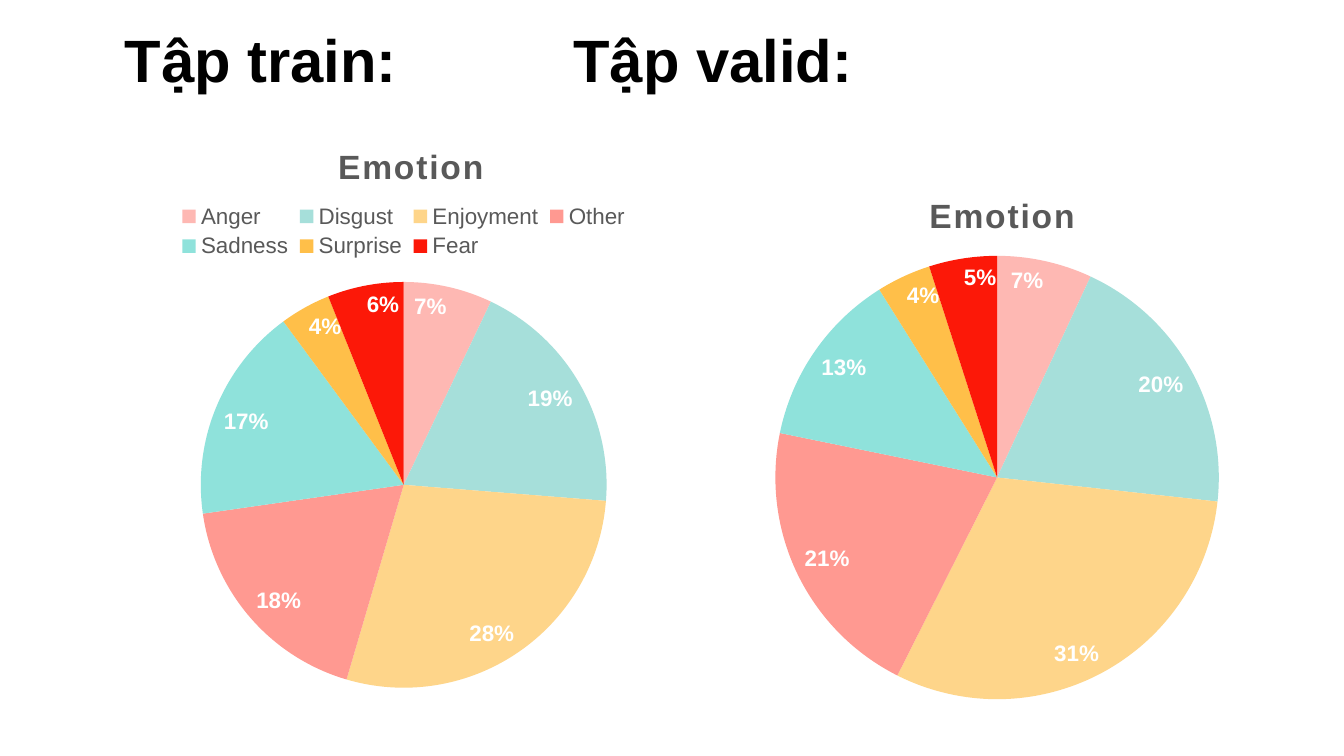
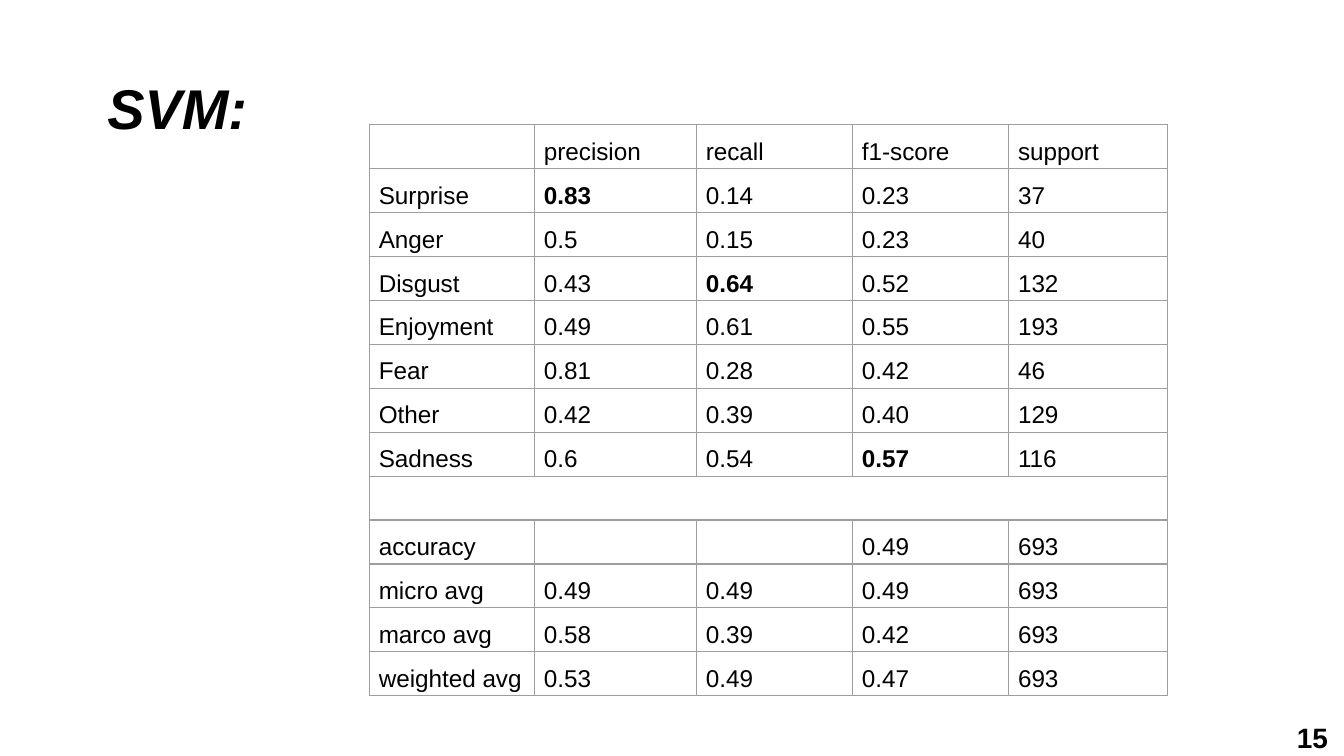
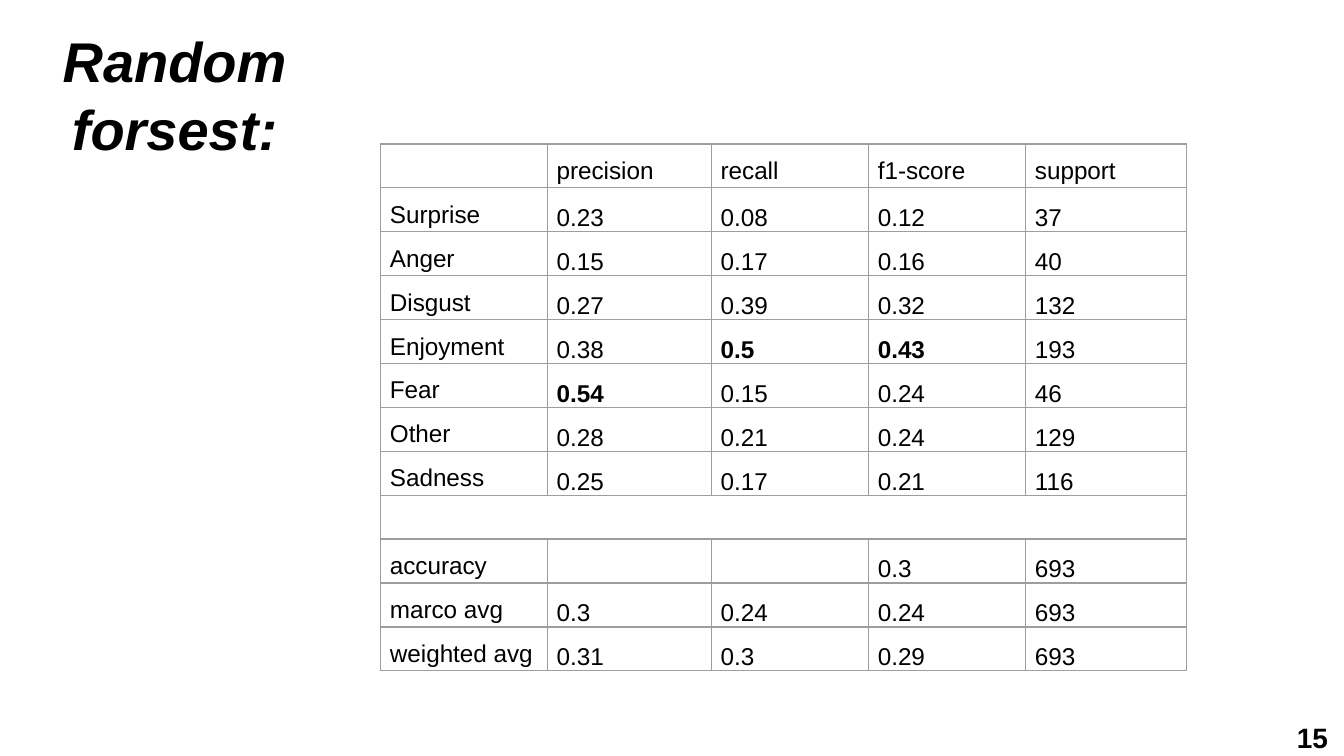
from lxml.etree import SubElement
from pptx import Presentation
from pptx.chart.data import CategoryChartData
from pptx.dml.color import RGBColor
from pptx.enum.chart import XL_CHART_TYPE as CHART
from pptx.enum.chart import XL_LABEL_POSITION as LABEL_POS
from pptx.enum.chart import XL_LEGEND_POSITION as LEGEND_POS
from pptx.enum.text import MSO_ANCHOR as ANCHOR
from pptx.enum.text import MSO_AUTO_SIZE as AUTO_SIZE
from pptx.enum.text import PP_ALIGN as ALIGN
from pptx.oxml import parse_xml
from pptx.oxml.ns import nsdecls, qn
from pptx.util import Cm, Pt

BLACK, WHITE, GREY, GRID = "000000", "FFFFFF", "595959", "9E9E9E"
PIE_COLORS = ["FEB8B3", "A6DFDA", "FED58A", "FF9991", "8FE2DB", "FFBF49", "FC1808"]
EMOTIONS = ["Anger", "Disgust", "Enjoyment", "Other", "Sadness", "Surprise", "Fear"]

BASE = {"name": "Arial", "size": Pt(10), "bold": False, "color": BLACK}
HEADING = {**BASE, "size": Pt(32), "bold": True}
MODEL_TITLE = {**BASE, "size": Pt(30), "bold": True, "italic": True}
PAGE_NUMBER = {**BASE, "size": Pt(15), "bold": True}
CELL = {**BASE, "size": Pt(13)}
CHART_TITLE = {**BASE, "size": Pt(18), "bold": True, "color": GREY}
LEGEND = {**BASE, "size": Pt(12), "color": GREY}
PIE_LABEL = {**BASE, "size": Pt(12), "bold": True, "color": WHITE}

ROW_HEIGHT = 0.83
HEADER = ["", "precision", "recall", "f1-score", "support"]
SVM_ROWS = [
    HEADER,
    ["Surprise", "0.83", "0.14", "0.23", "37"],
    ["Anger", "0.5", "0.15", "0.23", "40"],
    ["Disgust", "0.43", "0.64", "0.52", "132"],
    ["Enjoyment", "0.49", "0.61", "0.55", "193"],
    ["Fear", "0.81", "0.28", "0.42", "46"],
    ["Other", "0.42", "0.39", "0.40", "129"],
    ["Sadness", "0.6", "0.54", "0.57", "116"],
    [],
    ["accuracy", "", "", "0.49", "693"],
    ["micro avg", "0.49", "0.49", "0.49", "693"],
    ["marco avg", "0.58", "0.39", "0.42", "693"],
    ["weighted avg", "0.53", "0.49", "0.47", "693"],
]
FOREST_ROWS = [
    HEADER,
    ["Surprise", "0.23", "0.08", "0.12", "37"],
    ["Anger", "0.15", "0.17", "0.16", "40"],
    ["Disgust", "0.27", "0.39", "0.32", "132"],
    ["Enjoyment", "0.38", "0.5", "0.43", "193"],
    ["Fear", "0.54", "0.15", "0.24", "46"],
    ["Other", "0.28", "0.21", "0.24", "129"],
    ["Sadness", "0.25", "0.17", "0.21", "116"],
    [],
    ["accuracy", "", "", "0.3", "693"],
    ["marco avg", "0.3", "0.24", "0.24", "693"],
    ["weighted avg", "0.31", "0.3", "0.29", "693"],
]


def rgb(color):
    return RGBColor.from_string(color)


def set_font(font, style):
    for key, value in style.items():
        if key == "color":
            font.color.rgb = rgb(value)
        else:
            setattr(font, key, value)


def write(tf, text, style, align=None):
    p = tf.paragraphs[0]
    p.alignment = align
    r = p.add_run()
    r.text = text
    set_font(r.font, style)
    return p


def add_text(slide, box, text, style, wrap=True):
    tf = slide.shapes.add_textbox(*map(Cm, box)).text_frame
    tf.word_wrap = wrap
    tf.auto_size = AUTO_SIZE.SHAPE_TO_FIT_TEXT
    write(tf, text, style)


def place(element, index, **fractions):
    """Give a chart part a manual layout in fractions of the chart's size."""
    for old in element.findall(qn("c:layout")):
        element.remove(old)
    layout = parse_xml(f"<c:layout {nsdecls('c')}/>")
    manual = SubElement(layout, qn("c:manualLayout"))
    if element.tag == qn("c:plotArea"):
        SubElement(manual, qn("c:layoutTarget")).set("val", "inner")
    for mode in ("xMode", "yMode"):
        SubElement(manual, qn(f"c:{mode}")).set("val", "edge")
    for key, value in fractions.items():
        SubElement(manual, qn(f"c:{key}")).set("val", str(value))
    element.insert(index, layout)


def add_pie(slide, box, categories, values, plot, title_x, legend=None):
    data = CategoryChartData()
    data.categories = categories
    data.add_series("Series 1", values)
    chart = slide.shapes.add_chart(CHART.PIE, *map(Cm, box), data).chart
    set_font(chart.font, BASE)

    chart.has_title = True
    p = write(chart.chart_title.text_frame, "Emotion", CHART_TITLE)
    p.runs[0].font._element.set("spc", "100")
    place(chart.element.find(".//" + qn("c:title")), 1, x=title_x, y=0.05)
    place(chart.element.find(".//" + qn("c:plotArea")), 0, **plot)

    chart.has_legend = legend is not None
    if legend:
        chart.legend.position = LEGEND_POS.TOP
        chart.legend.include_in_layout = False
        set_font(chart.legend.font, LEGEND)
        place(chart.element.find(".//" + qn("c:legend")), 1, **legend)

    pie = chart.plots[0]
    pie.vary_by_categories = True
    for i, color in enumerate(PIE_COLORS):
        fill = pie.series[0].points[i].format.fill
        fill.solid()
        fill.fore_color.rgb = rgb(color)
    labels = pie.series[0].data_labels
    for key, value in {"show_percentage": True, "show_value": False,
                       "number_format": "0%", "number_format_is_linked": False,
                       "position": LABEL_POS.INSIDE_END}.items():
        setattr(labels, key, value)
    set_font(labels.font, PIE_LABEL)


def set_borders(cell):
    tcPr = cell._tc.get_or_add_tcPr()
    for i, side in enumerate(("lnL", "lnR", "lnT", "lnB")):
        tcPr.insert(i, parse_xml(
            f'<a:{side} {nsdecls("a")} w="{Pt(0.75)}"><a:solidFill>'
            f'<a:srgbClr val="{GRID}"/></a:solidFill></a:{side}>'))


def add_scores(slide, left, top, widths, rows, best, value_anchor):
    """Add a score table; best holds the (row, column) pairs set in bold."""
    size = map(Cm, (left, top, sum(widths), ROW_HEIGHT * len(rows)))
    table = slide.shapes.add_table(len(rows), len(widths), *size).table
    table.first_row = table.horz_banding = False
    for column, width in zip(table.columns, widths):
        column.width = Cm(width)
    for i, row in enumerate(rows):
        table.rows[i].height = Cm(ROW_HEIGHT)
        for j in range(len(widths)):
            cell = table.cell(i, j)
            cell.margin_left = cell.margin_right = Cm(0.18)
            cell.margin_top = cell.margin_bottom = 0
            cell.vertical_anchor = value_anchor if i and j else ANCHOR.TOP
            cell.fill.background()
            set_borders(cell)
            if row and row[j]:
                style = {**CELL, "bold": (i, j) in best}
                p = write(cell.text_frame, row[j], style, ALIGN.JUSTIFY)
                p.line_spacing = 1.5
        if not row:
            table.cell(i, 0).merge(table.cell(i, len(widths) - 1))


def add_model_slide(prs, title, title_left, title_top):
    slide = prs.slides.add_slide(prs.slide_layouts[0])
    subtitle = slide.placeholders[1].element
    subtitle.getparent().remove(subtitle)
    sp = slide.shapes.title
    sp.left, sp.top, sp.width, sp.height = map(Cm, (title_left, title_top, 6.6, 4.06))
    tf = sp.text_frame
    for key, value in {"word_wrap": True, "auto_size": AUTO_SIZE.NONE,
                       "vertical_anchor": ANCHOR.MIDDLE}.items():
        setattr(tf, key, value)
    for side in ("left", "top", "right", "bottom"):
        setattr(tf, f"margin_{side}", Cm(0.25))
    write(tf, title, MODEL_TITLE, ALIGN.CENTER)
    add_text(slide, (24.26, 13.49, 1.12, 0.89), "15", PAGE_NUMBER, wrap=False)
    return slide


def main():
    prs = Presentation()
    prs.slide_width, prs.slide_height = Cm(25.4), Cm(14.29)

    slide = prs.slides.add_slide(prs.slide_layouts[6])
    add_pie(slide, (-0.84, 2.06, 16.94, 11.28), EMOTIONS, [7, 19, 28, 18, 17, 4, 6],
            {"x": 0.27, "y": 0.29, "w": 0.46, "h": 0.68}, 0.42,
            {"x": 0.24, "y": 0.15, "w": 0.52, "h": 0.11})
    add_text(slide, (2.11, 0.3, 8.46, 1.63), "Tập train:", HEADING)
    add_pie(slide, (11.86, 3.02, 13.97, 10.54), [str(n) for n in range(1, 8)],
            [7, 20, 31, 21, 13, 4, 5],
            {"x": 0.2, "y": 0.17, "w": 0.6, "h": 0.8}, 0.4)
    add_text(slide, (10.59, 0.3, 8.46, 1.63), "Tập valid:", HEADING)

    slide = add_model_slide(prs, "SVM:", 0.05, 0)
    add_scores(slide, 6.98, 2.36, [3.12, 3.06, 2.95, 2.95, 3], SVM_ROWS,
               {(1, 1), (3, 2), (7, 3)}, ANCHOR.TOP)

    slide = add_model_slide(prs, "Random forsest:", 0, -0.25)
    add_scores(slide, 7.19, 2.72, [3.15, 3.1, 2.97, 2.97, 3.05], FOREST_ROWS,
               {(4, 2), (4, 3), (5, 1)}, ANCHOR.BOTTOM)

    prs.save("out.pptx")


if __name__ == "__main__":
    main()
